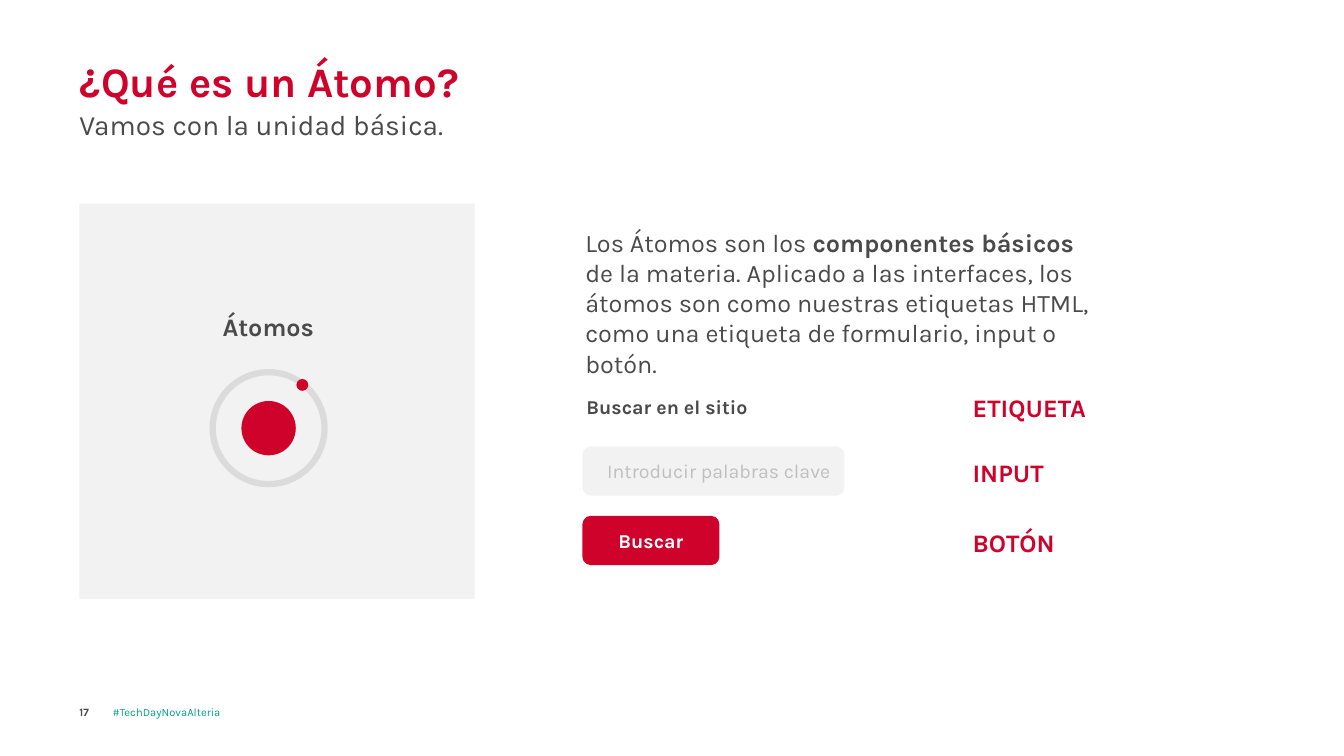
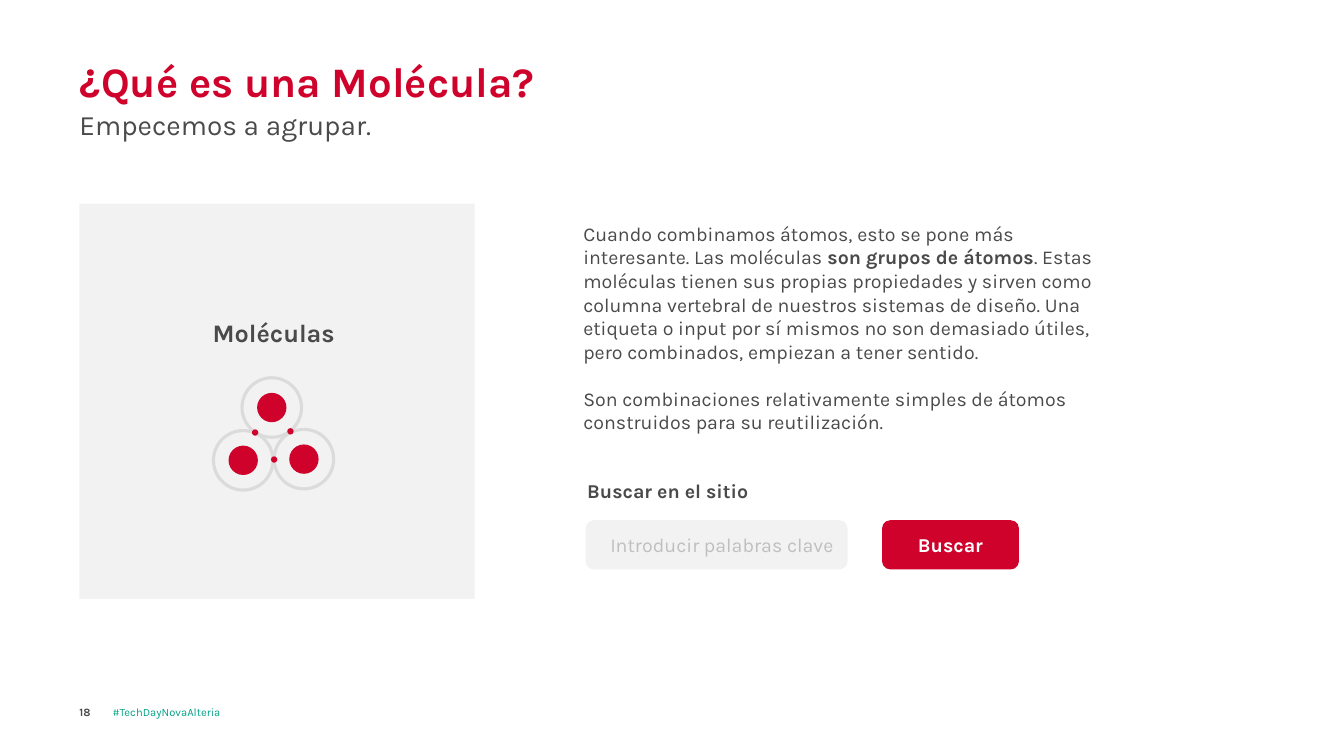
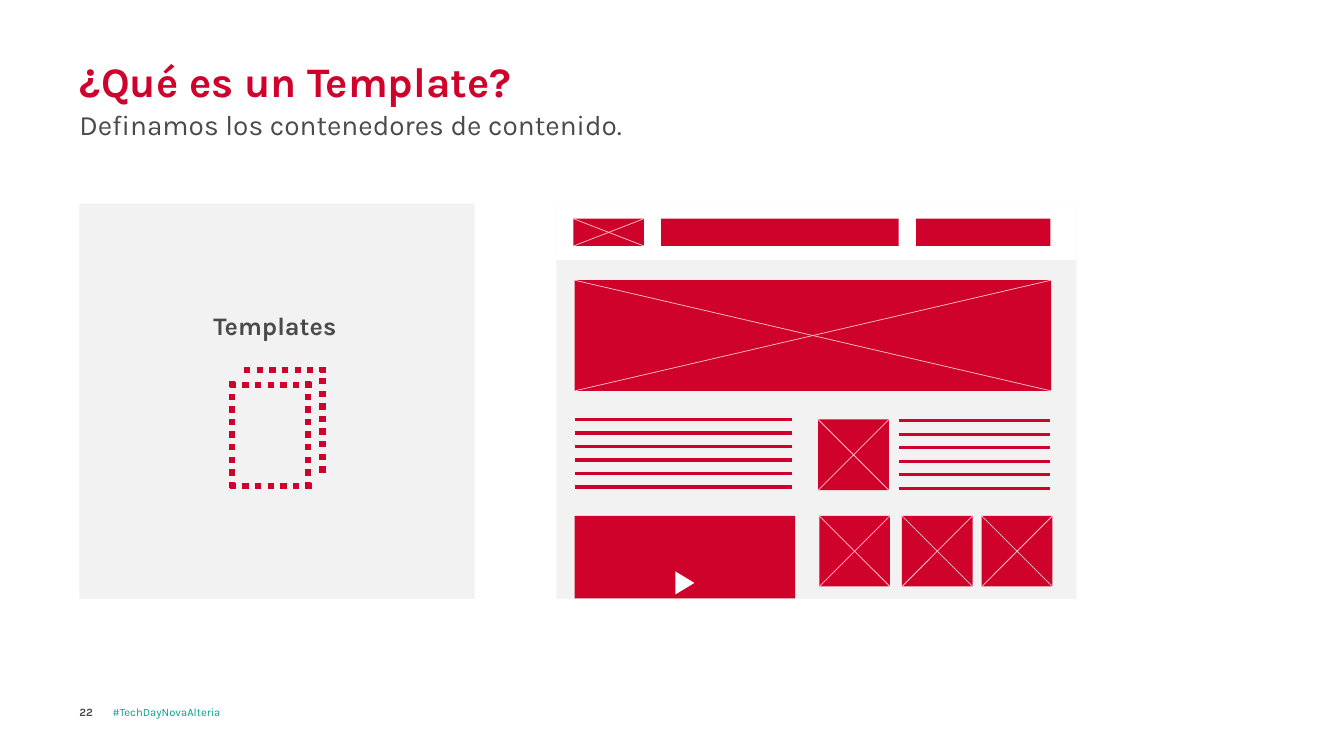
from pptx import Presentation
from pptx.dml.color import RGBColor
from pptx.enum.dml import MSO_LINE
from pptx.enum.shapes import MSO_CONNECTOR, MSO_SHAPE
from pptx.enum.text import MSO_ANCHOR, MSO_AUTO_SIZE, PP_ALIGN
from pptx.oxml.ns import qn
from pptx.util import Cm, Pt
from lxml import etree

RECTANGLE = MSO_SHAPE.RECTANGLE
ROUNDED = MSO_SHAPE.ROUNDED_RECTANGLE
OVAL = MSO_SHAPE.OVAL
TRIANGLE = MSO_SHAPE.ISOSCELES_TRIANGLE
STRAIGHT = MSO_CONNECTOR.STRAIGHT
DOTTED = MSO_LINE.ROUND_DOT
TOP, MIDDLE, BOTTOM = MSO_ANCHOR.TOP, MSO_ANCHOR.MIDDLE, MSO_ANCHOR.BOTTOM
LEFT, CENTER = PP_ALIGN.LEFT, PP_ALIGN.CENTER
NO_AUTOFIT = MSO_AUTO_SIZE.NONE

RED = RGBColor(0xCF, 0x02, 0x2B)
PINK = RGBColor(0xFE, 0xC3, 0xCF)
TEAL = RGBColor(0x00, 0xA1, 0x88)
DARK = RGBColor(0x4A, 0x4A, 0x4A)
SILVER = RGBColor(0xBF, 0xBF, 0xBF)
RING = RGBColor(0xDB, 0xDB, 0xDB)
PALE = RGBColor(0xF2, 0xF2, 0xF2)
WHITE = RGBColor(0xFF, 0xFF, 0xFF)

FONT = "Karla"
TITLE_ONLY = 5
MARGIN = 2.0
PANEL_TOP = 5.13
PANEL_SIZE = 9.96
THUMB = 1.78
TEXT_INSETS = (0.25, 0.13, 0.25, 0.13)
NO_INSETS = (0, 0, 0, 0)


def write(shape, paragraphs, size, color=DARK, bold=False, anchor=TOP,
          align=LEFT, insets=TEXT_INSETS, gap=0):
    frame = shape.text_frame
    sides = ("margin_left", "margin_top", "margin_right", "margin_bottom")
    frame_format = {"word_wrap": True, "auto_size": NO_AUTOFIT,
                    "vertical_anchor": anchor}
    frame_format.update(zip(sides, map(Cm, insets)))
    for name, value in frame_format.items():
        setattr(frame, name, value)
    for index, spans in enumerate(paragraphs):
        para = frame.add_paragraph() if index else frame.paragraphs[0]
        para.alignment = align
        para.space_before = Pt(gap if index else 0)
        for text, strong in spans:
            span = para.add_run()
            span.text = text
            font_format = {"name": FONT, "size": Pt(size), "bold": strong or bold}
            for name, value in font_format.items():
                setattr(span.font, name, value)
            span.font.color.rgb = color


def add_text(page, text, left, top, width, height, size, **style):
    box = page.shapes.add_textbox(Cm(left), Cm(top), Cm(width), Cm(height))
    paragraphs = [[(text, False)]] if isinstance(text, str) else text
    write(box, paragraphs, size, **style)


def add_figure(page, kind, left, top, width, height, fill=None, line=None, weight=0):
    figure = page.shapes.add_shape(kind, Cm(left), Cm(top), Cm(width), Cm(height))
    figure.shadow.inherit = False
    if fill is None:
        figure.fill.background()
    else:
        figure.fill.solid()
        figure.fill.fore_color.rgb = fill
    if line is None:
        figure.line.fill.background()
    else:
        figure.line.color.rgb = line
        figure.line.width = Pt(weight)
    return figure


def add_line(page, start, end, color, weight, dash=None):
    line = page.shapes.add_connector(STRAIGHT, *map(Cm, start + end))
    line.line.color.rgb = color
    line.line.width = Pt(weight)
    if dash is not None:
        line.line.dash_style = dash
    etree.SubElement(line._element.spPr, qn("a:effectLst"))


def add_circle(page, center, diameter, **style):
    x, y = center
    add_figure(page, OVAL, x - diameter / 2, y - diameter / 2,
               diameter, diameter, **style)


def add_nucleus(page, center, core, orbit, weight):
    add_circle(page, center, core, fill=RED)
    add_circle(page, center, orbit, line=RING, weight=weight)


def add_input(page, left, top):
    field = add_figure(page, ROUNDED, left, top, 6.6, 1.24, PALE)
    write(field, [[("Introducir palabras clave", False)]], 14, SILVER,
          anchor=MIDDLE, insets=(0.56, 0, 0, 0))


def add_button(page, left, top):
    button = add_figure(page, ROUNDED, left, top, 3.45, 1.24, RED)
    write(button, [[("Buscar", False)]], 14, WHITE, bold=True,
          anchor=MIDDLE, align=CENTER, insets=NO_INSETS)


def add_search_label(page, left, top):
    add_text(page, "Buscar en el sitio", left, top, 6.17, 0.86, 14, bold=True)


def add_crossed_box(page, left, top, width, height):
    right, bottom = left + width, top + height
    add_figure(page, RECTANGLE, left, top, width, height, RED)
    add_line(page, (left, top), (right, bottom), PINK, 0.5)
    add_line(page, (left, bottom), (right, top), PINK, 0.5)


def add_text_lines(page, left, right, top):
    for row in range(6):
        y = top + row * 0.34
        add_line(page, (left, y), (right, y), RED, 2.25)


def add_page(deck, number, title, subtitle, caption, caption_place):
    page = deck.slides.add_slide(deck.slide_layouts[TITLE_ONLY])
    heading = page.shapes.title
    place = {"left": MARGIN, "top": 0.08, "width": 23.75, "height": 2.59}
    for name, value in place.items():
        setattr(heading, name, Cm(value))
    write(heading, [[(title, False)]], 30, RED, bold=True,
          anchor=BOTTOM, insets=NO_INSETS)
    add_text(page, subtitle, MARGIN, 2.72, 29.87, 0.99, 20, insets=NO_INSETS)
    add_figure(page, RECTANGLE, MARGIN, PANEL_TOP, PANEL_SIZE, PANEL_SIZE, PALE)
    left, top, width = caption_place
    add_text(page, caption, left, top, width, 1.02, 18, bold=True)
    add_text(page, str(number), MARGIN, 17.6, 0.8, 0.71, 8, bold=True,
             anchor=MIDDLE, insets=NO_INSETS)
    add_text(page, "#TechDayNovaAlteria", 2.84, 17.6, 10, 0.71, 8, color=TEAL,
             anchor=MIDDLE, insets=NO_INSETS)
    return page


def build_atom(deck):
    page = add_page(deck, 17, "¿Qué es un Átomo?", "Vamos con la unidad básica.",
                    "Átomos", (5.36, 7.72, 2.95))
    add_nucleus(page, (6.77, 10.79), 1.37, 2.82, 4.5)
    add_circle(page, (7.62, 9.7), 0.3, fill=RED)
    add_text(page, [[
        ("Los Átomos son los ", False),
        ("componentes básicos ", True),
        ("de la materia. Aplicado a las interfaces, los átomos son como nuestras "
         "etiquetas HTML, como una etiqueta de formulario, input o botón.", False),
    ]], 14.5, 5.59, 13.56, 4.11, 18)
    add_search_label(page, 14.53, 9.83)
    add_input(page, 14.68, 11.25)
    add_button(page, 14.68, 13.0)
    for tag, top in (("ETIQUETA", 9.75), ("INPUT", 11.4), ("BOTÓN", 13.16)):
        add_text(page, tag, 24.26, top, 6.17, 1.02, 18, color=RED, bold=True)


def build_molecule(deck):
    page = add_page(deck, 18, "¿Qué es una Molécula?", "Empecemos a agrupar.",
                    "Moléculas", (5.11, 7.87, 3.73))
    for center in ((6.13, 11.6), (7.66, 11.57), (6.85, 10.27)):
        add_nucleus(page, center, 0.74, 1.5, 2.25)
    for center in ((6.91, 11.58), (7.32, 10.87), (6.43, 10.9)):
        add_circle(page, center, 0.16, fill=RED)
    add_text(page, [
        [("Cuando combinamos átomos, esto se pone más interesante. "
          "Las moléculas ", False),
         ("son grupos de átomos", True),
         (". Estas moléculas tienen sus propias propiedades y sirven como columna "
          "vertebral de nuestros sistemas de diseño. Una etiqueta o input por sí "
          "mismos no son demasiado útiles, pero combinados, empiezan a tener "
          "sentido.", False)],
        [("Son combinaciones relativamente simples de átomos construidos para su "
          "reutilización.", False)],
    ], 14.45, 5.46, 13.56, 5.64, 14, gap=16.8)
    add_search_label(page, 14.55, 11.94)
    add_input(page, 14.76, 13.11)
    add_button(page, 22.23, 13.11)


def add_dotted_sheets(page):
    edges = (
        ((6.15, 9.32), (8.33, 9.32)),
        ((8.13, 11.91), (8.13, 9.25)),
        ((5.79, 12.24), (7.98, 12.24)),
        ((7.77, 9.6), (7.77, 12.32)),
        ((5.79, 9.7), (7.98, 9.7)),
        ((5.84, 9.6), (5.84, 12.32)),
    )
    for start, end in edges:
        add_line(page, start, end, RED, 4.5, DOTTED)


def add_wireframe(page):
    left, width = 14.02, 13.11
    column = 14.48
    add_figure(page, RECTANGLE, left, PANEL_TOP, width, PANEL_SIZE, PALE)
    add_figure(page, RECTANGLE, left, PANEL_TOP, width, 1.42, WHITE)
    add_crossed_box(page, 14.45, 5.51, THUMB, 0.69)
    for bar_left, bar_width in ((16.66, 5.99), (23.09, 3.38)):
        add_figure(page, RECTANGLE, bar_left, 5.51, bar_width, 0.69, RED)
    add_crossed_box(page, column, 7.06, 12.01, 2.79)
    add_text_lines(page, column, 19.96, 10.57)
    add_text_lines(page, 22.66, 26.47, 10.6)
    for thumb_left, top in ((20.62, 10.57), (20.65, 13), (22.73, 13), (24.74, 13)):
        add_crossed_box(page, thumb_left, top, THUMB, THUMB)
    add_figure(page, RECTANGLE, column, 13, 5.56, 2.08, RED)
    play = add_figure(page, TRIANGLE, 16.97, 14.45, 0.58, 0.48, WHITE)
    play.rotation = 90


def build_template(deck):
    page = add_page(deck, 22, "¿Qué es un Template?",
                    "Definamos los contenedores de contenido.",
                    "Templates", (5.13, 7.7, 4.34))
    add_dotted_sheets(page)
    add_wireframe(page)


def main():
    deck = Presentation()
    deck.slide_width, deck.slide_height = Cm(33.87), Cm(19.05)
    build_atom(deck)
    build_molecule(deck)
    build_template(deck)
    deck.save("out.pptx")


if __name__ == "__main__":
    main()
